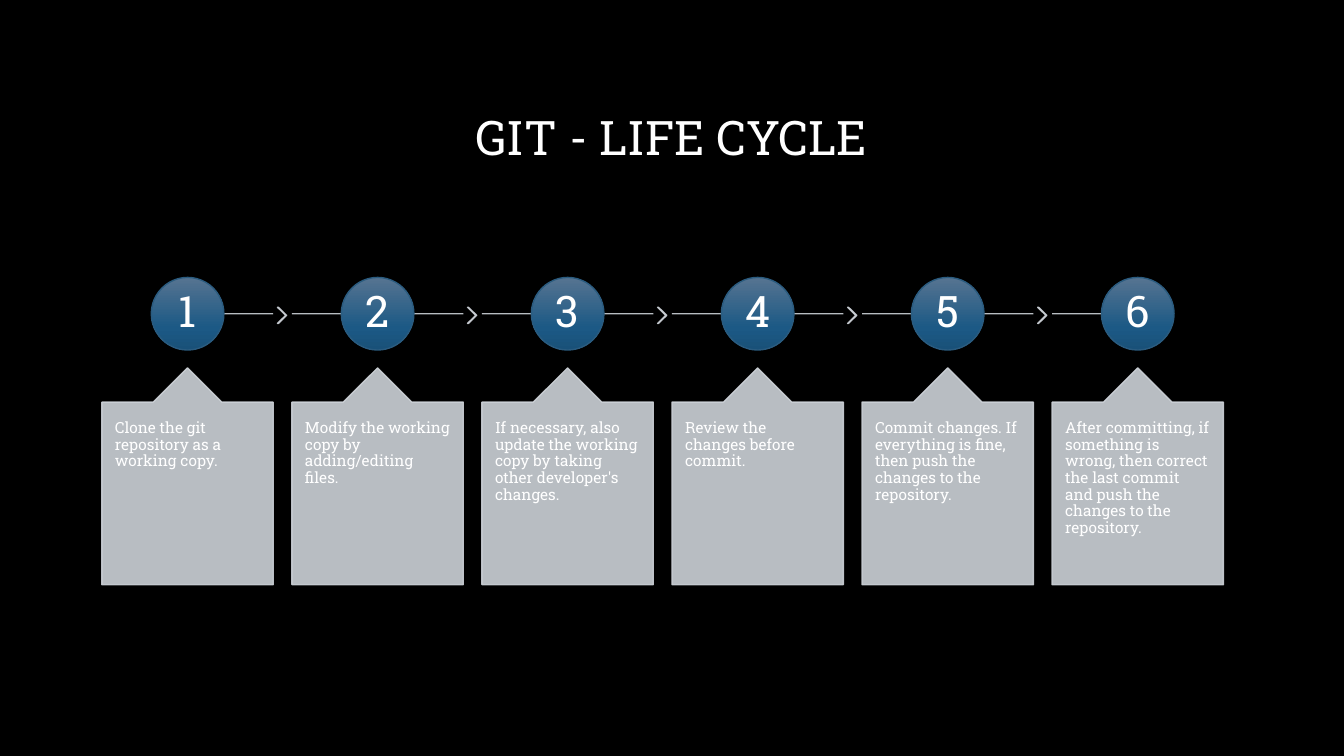
from copy import deepcopy
from dataclasses import dataclass

from lxml.etree import SubElement
from pptx import Presentation
from pptx.dml.color import RGBColor
from pptx.enum.shapes import MSO_CONNECTOR, MSO_SHAPE
from pptx.enum.text import MSO_ANCHOR, PP_ALIGN
from pptx.oxml.ns import qn
from pptx.util import Inches, Pt


@dataclass(frozen=True)
class Theme:
    """Colours, fonts and type sizes."""
    font: str = "Roboto Slab"
    back: str = "000000"
    text: str = "FFFFFF"
    card: str = "CDD2D8"
    rim: str = "2A5B7F"
    disc: tuple = ((0, "567491"), (0.69, "1C5985"), (1, "195179"))
    alpha: int = 90000
    title: int = 34
    digit: int = 31
    body: int = 11


THEME = Theme()
WIDTH, HEIGHT = Inches(13.333), Inches(7.5)
LEFT, PITCH, CARD = 7.58, 14.14, 12.75
DISC, AXIS = 5.4, 41.5
STEPS = (
    "Clone the git repository as a working copy.",
    "Modify the working copy by adding/editing files.",
    "If necessary, also update the working copy by taking other developer's changes.",
    "Review the changes before commit.",
    "Commit changes. If everything is fine, then push the changes to the repository.",
    "After committing, if something is wrong, then correct the last commit "
    "and push the changes to the repository.",
)


def across(share):
    """Turn a percentage of the slide width into a length."""
    return round(WIDTH * share / 100)


def down(share):
    """Turn a percentage of the slide height into a length."""
    return round(HEIGHT * share / 100)


def place(left, top, width, height):
    """Turn four percentages into a position and a size."""
    return across(left), down(top), across(width), down(height)


def tint(fill):
    """Paint a fill in the translucent card colour."""
    fill.solid()
    fill.fore_color.rgb = RGBColor.from_string(THEME.card)
    color = fill._xPr.find(qn("a:solidFill"))[0]
    SubElement(color, qn("a:alpha"), val=str(THEME.alpha))


def write(shape, text, size, align, anchor, inset):
    """Set one styled paragraph inside a shape."""
    frame = shape.text_frame
    frame.word_wrap = True
    frame.vertical_anchor = anchor
    side, edge = map(Inches, inset)
    frame.margin_left = frame.margin_right = side
    frame.margin_top = frame.margin_bottom = edge
    para = frame.paragraphs[0]
    para.text = text
    para.alignment = align
    para.line_spacing = 0.9
    para.font.name = THEME.font
    para.font.size = Pt(size)
    para.font.color.rgb = RGBColor.from_string(THEME.text)


def add_title(slide, text):
    """Add the centred heading."""
    box = slide.shapes.add_textbox(*place(7.5, 8.93, 84.9, 19.33))
    write(box, text, THEME.title, PP_ALIGN.CENTER, MSO_ANCHOR.MIDDLE, (0.1, 0.05))


def add_panel(slide, kind, area, adjust):
    """Add a translucent preset shape."""
    shape = slide.shapes.add_shape(kind, *place(*area))
    shape.shadow.inherit = False
    for index, value in enumerate(adjust):
        shape.adjustments[index] = value
    tint(shape.fill)
    tint(shape.line.fill)
    shape.line.width = Pt(1)
    return shape


def add_track(slide, start, end):
    """Add a stretch of the line behind the discs."""
    track = slide.shapes.add_connector(
        MSO_CONNECTOR.STRAIGHT, across(start), down(AXIS), across(end), down(AXIS))
    SubElement(track._element.spPr, qn("a:effectLst"))
    tint(track.line.fill)
    track.line.width = Pt(1)


def add_disc(slide, center, label):
    """Add a numbered disc with a vertical gradient."""
    tall = DISC * WIDTH / HEIGHT
    area = place(center - DISC / 2, AXIS - tall / 2, DISC, tall)
    disc = slide.shapes.add_shape(MSO_SHAPE.OVAL, *area)
    disc.shadow.inherit = False
    disc.fill.gradient()
    disc.fill.gradient_angle = 270
    stops = disc._element.spPr.find(qn("a:gradFill")).find(qn("a:gsLst"))
    stops.insert(1, deepcopy(stops[0]))
    for stop, (spot, color) in zip(disc.fill.gradient_stops, THEME.disc):
        stop.position = spot
        stop.color.rgb = RGBColor.from_string(color)
    disc.line.color.rgb = RGBColor.from_string(THEME.rim)
    disc.line.width = Pt(1)
    write(disc, label, THEME.digit, PP_ALIGN.CENTER, MSO_ANCHOR.MIDDLE, (0.03, 0.03))


def add_step(slide, index, text):
    """Add one step: track, chevron, disc and card."""
    left = LEFT + index * PITCH
    center, right = left + CARD / 2, left + CARD
    last = index == len(STEPS) - 1
    add_track(slide, left if index else center, center if last else right)
    if not last:
        add_panel(slide, MSO_SHAPE.CHEVRON, (right + 0.32, 40.65, 0.68, 2.13), [0.9])
    add_disc(slide, center, str(index + 1))
    card = add_panel(slide, MSO_SHAPE.UP_ARROW_CALLOUT,
                     (left, 48.67, CARD, 28.67), [0.5, 0.2, 0.2, 1])
    write(card, text, THEME.body, PP_ALIGN.LEFT, MSO_ANCHOR.TOP, (0.13, 0.18))


def main():
    """Build the slide and save it."""
    deck = Presentation()
    deck.slide_width, deck.slide_height = WIDTH, HEIGHT
    slide = deck.slides.add_slide(deck.slide_layouts[6])
    slide.background.fill.solid()
    slide.background.fill.fore_color.rgb = RGBColor.from_string(THEME.back)
    add_title(slide, "GIT - LIFE CYCLE")
    for index, text in enumerate(STEPS):
        add_step(slide, index, text)
    deck.save("out.pptx")


if __name__ == "__main__":
    main()
